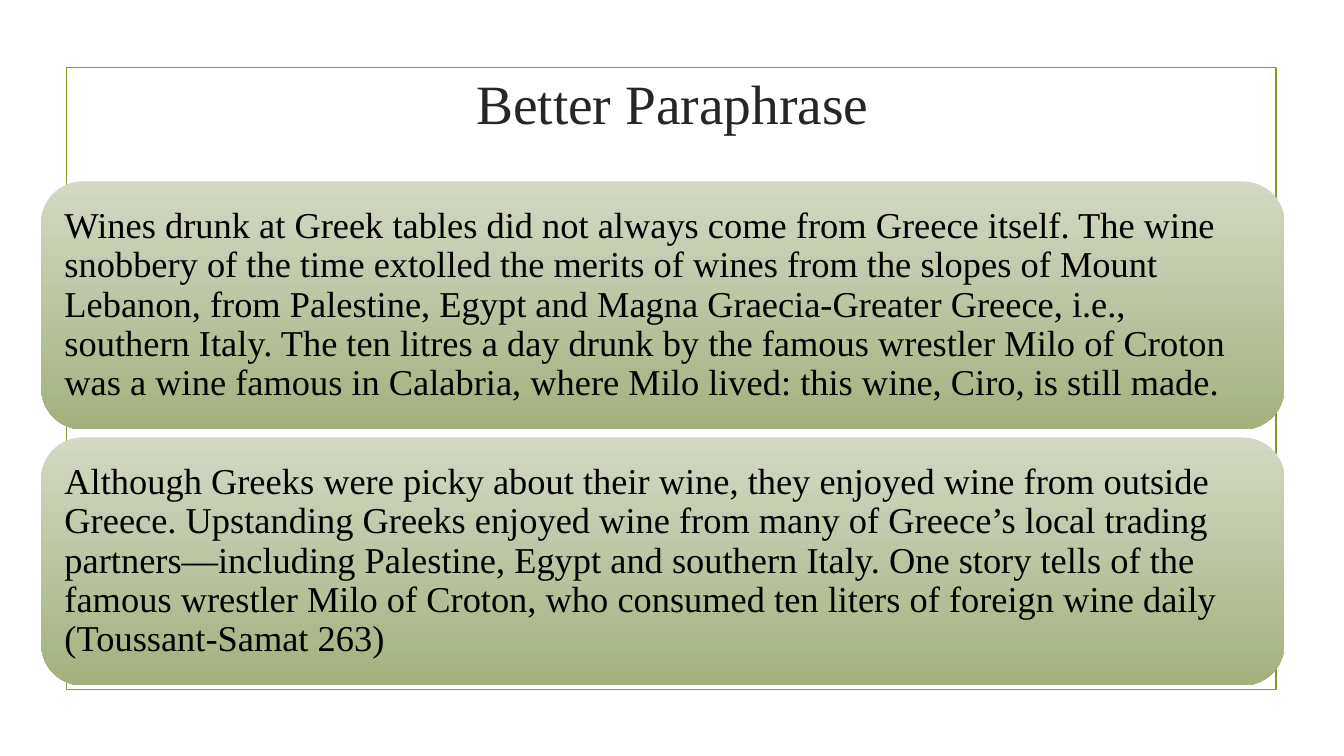
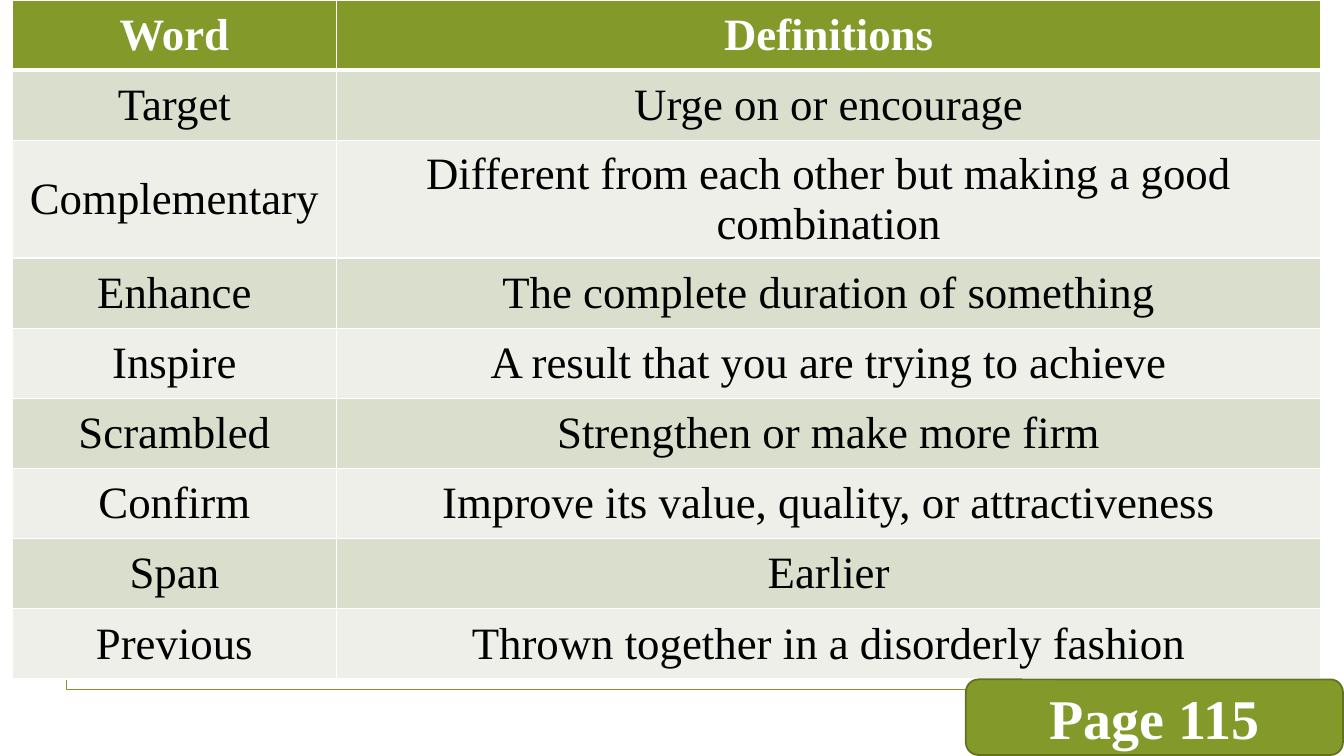
from lxml import etree
from pptx import Presentation
from pptx.dml.color import RGBColor
from pptx.enum.shapes import MSO_SHAPE
from pptx.enum.text import MSO_ANCHOR, PP_ALIGN
from pptx.oxml.ns import qn
from pptx.util import Inches, Pt

RECT, ROUND = MSO_SHAPE.RECTANGLE, MSO_SHAPE.ROUNDED_RECTANGLE
LEFT, CENTER = PP_ALIGN.LEFT, PP_ALIGN.CENTER
MIDDLE = MSO_ANCHOR.MIDDLE

FONT = "Times New Roman"
OLIVE, EDGE = "83992A", "61711F"
PALE, MOSS = "D3D9C4", "A3B17D"
BANDS = "EDEFE8", "D9DECD"
INK, BLACK, WHITE = "262626", "000000", "FFFFFF"

QUOTES = [
    "Wines drunk at Greek tables did not always come from Greece itself. "
    "The wine snobbery of the time extolled the merits of wines from the "
    "slopes of Mount Lebanon, from Palestine, Egypt and Magna "
    "Graecia-Greater Greece, i.e., southern Italy. The ten litres a day "
    "drunk by the famous wrestler Milo of Croton was a wine famous in "
    "Calabria, where Milo lived: this wine, Ciro, is still made.",
    "Although Greeks were picky about their wine, they enjoyed wine from "
    "outside Greece. Upstanding Greeks enjoyed wine from many of Greece’s "
    "local trading partners—including Palestine, Egypt and southern Italy. "
    "One story tells of the famous wrestler Milo of Croton, who consumed "
    "ten liters of foreign wine daily (Toussant-Samat 263)",
]
WORDS = [
    ("Word", "Definitions"),
    ("Target", "Urge on or encourage"),
    ("Complementary", "Different from each other but making a good combination"),
    ("Enhance", "The complete duration of something"),
    ("Inspire", "A result that you are trying to achieve"),
    ("Scrambled", "Strengthen or make more firm"),
    ("Confirm", "Improve its value, quality, or attractiveness"),
    ("Span", "Earlier"),
    ("Previous", "Thrown together in a disorderly fashion"),
]


def color(code):
    return RGBColor.from_string(code)


def write(frame, text, size, code, align=CENTER, bold=False):
    frame.word_wrap = True
    frame.vertical_anchor = MIDDLE
    para = frame.paragraphs[0]
    para.text = text
    para.alignment = align
    font = para.font
    font.name, font.size, font.bold = FONT, Pt(size), bold
    font.color.rgb = color(code)
    return para


def add_box(slide, kind, box, line=None):
    shape = slide.shapes.add_shape(kind, *map(Inches, box))
    shape.shadow.inherit = False
    if line:
        shape.line.color.rgb = color(line)
        shape.line.width = Pt(1.25)
    else:
        shape.line.fill.background()
    return shape


def add_slide(deck):
    """Blank slide with the shared olive frame."""
    slide = deck.slides.add_slide(deck.slide_layouts[6])
    add_box(slide, RECT, (0.66, 0.67, 12, 6.17), OLIVE).fill.background()
    return slide


def add_title(slide, box, text):
    title = slide.shapes.add_textbox(*map(Inches, box))
    write(title.text_frame, text, 39.6, INK)


def add_panels(slide, box, texts, gap):
    """Equal gradient panels stacked in the box."""
    left, top, width, height = box
    step = (height + gap) / len(texts)
    for i, text in enumerate(texts):
        panel = add_box(slide, ROUND, (left, top + i * step, width, step - gap))
        panel.fill.gradient()
        panel.fill.gradient_angle = 270
        for stop, code in zip(panel.fill.gradient_stops, (PALE, MOSS)):
            stop.color.rgb = color(code)
        frame = panel.text_frame
        frame.margin_left = frame.margin_right = Inches(0.11)
        frame.margin_top = frame.margin_bottom = Inches(0.11)
        write(frame, text, 26, BLACK, LEFT).line_spacing = 0.9


def add_edges(cell, top, bottom):
    """White cell borders, widths in points."""
    props = cell._tc.get_or_add_tcPr()
    for side, width in zip("LRTB", (1, 1, top, bottom)):
        line = etree.SubElement(props, qn("a:ln" + side), w=str(Pt(width)))
        fill = etree.SubElement(line, qn("a:solidFill"))
        etree.SubElement(fill, qn("a:srgbClr"), val=WHITE)


def add_words(slide, box, rows, first, tall):
    """Word table; the row with index 2 holds two lines and is taller."""
    left, top, width, height = box
    table = slide.shapes.add_table(len(rows), 2, *map(Inches, box)).table
    table.columns[0].width = Inches(first)
    table.columns[1].width = Inches(width - first)
    low = (height - tall) / (len(rows) - 1)
    for r, row in enumerate(rows):
        table.rows[r].height = Inches(tall if r == 2 else low)
        head = r == 0
        for c, text in enumerate(row):
            cell = table.cell(r, c)
            add_edges(cell, 3 if r == 1 else 1, 3 if head else 1)
            cell.fill.solid()
            cell.fill.fore_color.rgb = color(OLIVE if head else BANDS[r % 2])
            cell.vertical_anchor = MIDDLE
            write(cell.text_frame, text, 32, WHITE if head else BLACK, bold=head)


def add_badge(slide, box, text):
    badge = add_box(slide, ROUND, box, EDGE)
    badge.fill.solid()
    badge.fill.fore_color.rgb = color(OLIVE)
    write(badge.text_frame, text, 40, WHITE, bold=True)


def main():
    deck = Presentation()
    deck.slide_width, deck.slide_height = Inches(13.33), Inches(7.5)

    # Paraphrase slide
    slide = add_slide(deck)
    add_title(slide, (1.42, 0.6, 10.5, 0.82), "Better Paraphrase")
    add_panels(slide, (0.41, 1.8, 12.33, 5), QUOTES, 0.08)

    # Vocabulary slide
    slide = add_slide(deck)
    add_words(slide, (0.12, 0, 12.98, 6.66), WORDS, 3.22, 1.09)
    add_badge(slide, (9.58, 6.74, 3.74, 0.75), "Page 115")

    deck.save("out.pptx")


if __name__ == "__main__":
    main()
